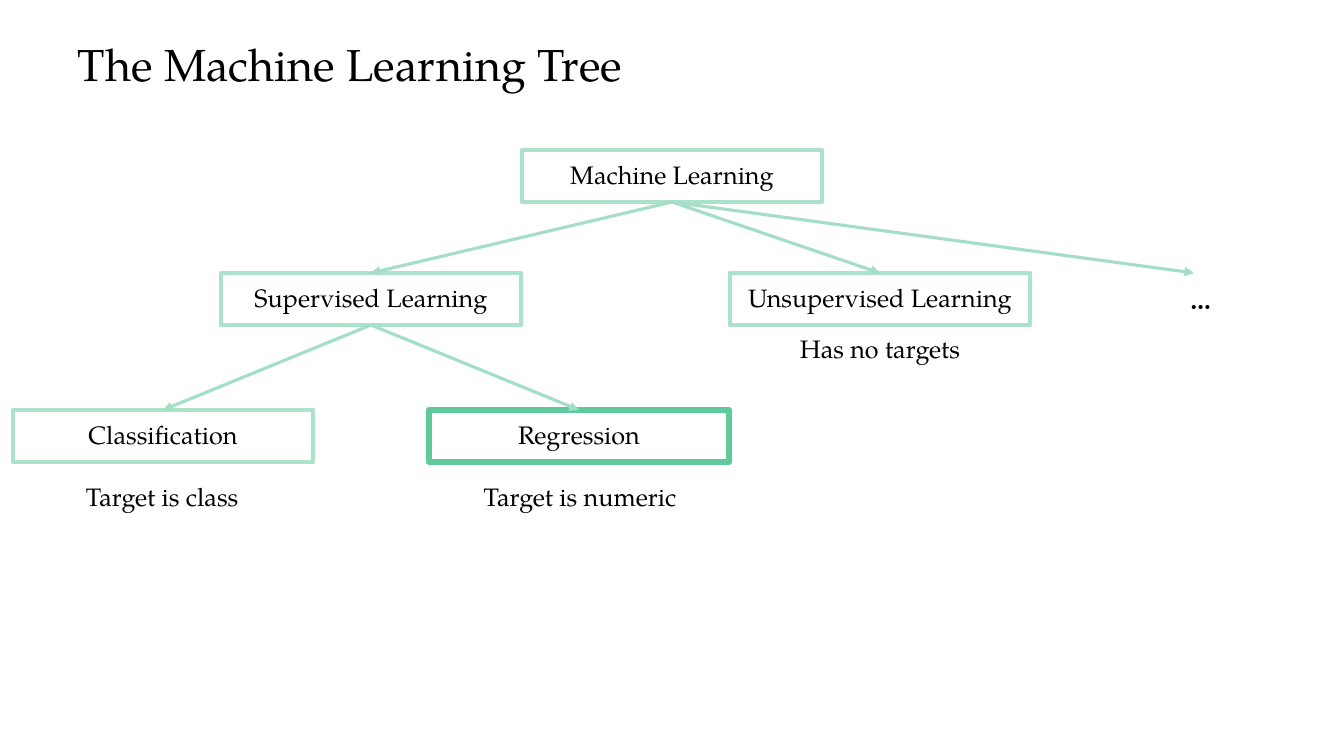
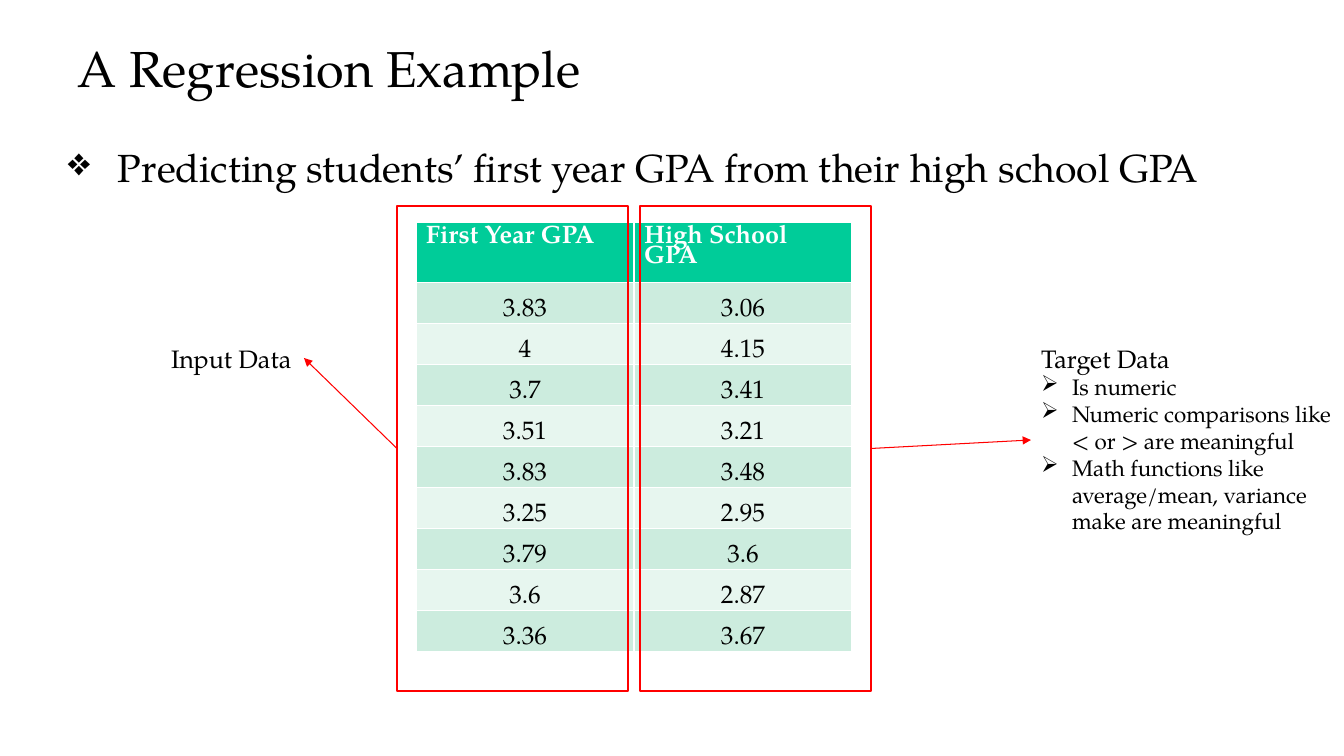
import pptx
import pptx.dml.color
import pptx.enum.shapes
import pptx.enum.text
import pptx.oxml.ns
import pptx.util
from lxml import etree

FONT = "TeX Gyre Pagella"
COLORS = {
    "text": "000000",
    "paper": "FFFFFF",
    "node": "AAE2CA",
    "focus": "60C99C",
    "branch": "A5DEC6",
    "mark": "FF0000",
    "header": "00CC99",
    "odd": "CCECDE",
    "even": "E7F6EF",
}
ALIGN = pptx.enum.text.PP_ALIGN
ANCHOR = pptx.enum.text.MSO_ANCHOR
PX_PER_INCH = 100.8
WIDTH, HEIGHT = 1344, 756

GPA_HEADERS = ("First Year GPA", "High School GPA")
GPA_ROWS = (
    ("3.83", "3.06"), ("4", "4.15"), ("3.7", "3.41"),
    ("3.51", "3.21"), ("3.83", "3.48"), ("3.25", "2.95"),
    ("3.79", "3.6"), ("3.6", "2.87"), ("3.36", "3.67"),
)


def px(n):
    return pptx.util.Emu(round(n * 914400 / PX_PER_INCH))


def rgb(name):
    return pptx.dml.color.RGBColor.from_string(COLORS[name])


def add_xml(parent, tag, **attrs):
    return etree.SubElement(parent, pptx.oxml.ns.qn(tag), attrs)


def style(p, size, color="text", bold=False, align=ALIGN.LEFT, spacing=None):
    p.font.name = FONT
    p.font.size = pptx.util.Pt(size)
    p.font.bold = bold
    p.font.color.rgb = rgb(color)
    p.alignment = align
    if spacing:
        p.line_spacing = spacing


def add_bullet(p, char, indent):
    pPr = p._p.get_or_add_pPr()
    pPr.set("marL", str(px(indent)))
    pPr.set("indent", str(-px(indent)))
    clr = add_xml(pPr, "a:buClr")
    add_xml(clr, "a:srgbClr", val=COLORS["text"])
    add_xml(pPr, "a:buChar", char=char)


def set_insets(target, left, top, right, bottom):
    target.margin_left, target.margin_top = px(left), px(top)
    target.margin_right, target.margin_bottom = px(right), px(bottom)


def add_text(slide, box, text, size=18, wrap=False, insets=(10, 5, 10, 5), **look):
    sp = slide.shapes.add_textbox(*map(px, box))
    tf = sp.text_frame
    tf.word_wrap = wrap
    set_insets(tf, *insets)
    p = tf.paragraphs[0]
    p.text = text
    style(p, size, **look)
    return sp


def add_rect(slide, box, line, width, fill=None):
    sp = slide.shapes.add_shape(
        pptx.enum.shapes.MSO_SHAPE.RECTANGLE, *map(px, box))
    sp.shadow.inherit = False
    if fill:
        sp.fill.solid()
        sp.fill.fore_color.rgb = rgb(fill)
    else:
        sp.fill.background()
    sp.line.color.rgb = rgb(line)
    sp.line.width = pptx.util.Pt(width)
    add_xml(sp.line._get_or_add_ln(), "a:round")
    return sp


def add_arrow(slide, start, side, color, width, end=None, end_side=0, point=(0, 0)):
    x, y = map(px, point)
    cx = slide.shapes.add_connector(
        pptx.enum.shapes.MSO_CONNECTOR.STRAIGHT, x, y, x, y)
    cx.begin_connect(start, side)
    if end is not None:
        cx.end_connect(end, end_side)
    cx.line.color.rgb = rgb(color)
    cx.line.width = pptx.util.Pt(width)
    add_xml(cx.line._get_or_add_ln(), "a:tailEnd", type="triangle")
    add_xml(cx._element.spPr, "a:effectLst")


def add_title(slide, text, size):
    add_text(slide, (68, 22, 1209, 101), text, size, wrap=True,
             insets=(10, 14, 10, 5), spacing=1.02)


def add_node(slide, x, y, text, line="node", width=3):
    sp = add_rect(slide, (x, y, 300, 52), line, width, "paper")
    tf = sp.text_frame
    tf.word_wrap = True
    tf.vertical_anchor = ANCHOR.MIDDLE
    p = tf.paragraphs[0]
    p.text = text
    style(p, 18, align=ALIGN.CENTER, spacing=0.93)
    return sp


def add_tree(slide, x, y):
    middle, bottom = y + 123, y + 260
    root = add_node(slide, x + 509, y, "Machine Learning")
    supervised = add_node(slide, x + 208, middle, "Supervised Learning")
    unsupervised = add_node(slide, x + 717, middle, "Unsupervised Learning")
    classes = add_node(slide, x, bottom, "Classification")
    regression = add_node(slide, x + 416, bottom, "Regression", "focus", 4.5)
    for parent, child in ((root, supervised), (root, unsupervised),
                          (supervised, regression), (supervised, classes)):
        add_arrow(slide, parent, 2, "branch", 2.25, child)
    add_arrow(slide, root, 2, "branch", 2.25, point=(x + 1181, middle))
    add_text(slide, (x + 1167, middle + 6, 45, 40), "…", bold=True)
    add_text(slide, (x + 63, bottom + 66, 175, 40), "Target is class")
    add_text(slide, (x + 459, bottom + 66, 216, 40), "Target is numeric",
             align=ALIGN.CENTER)
    add_text(slide, (x + 775, middle + 55, 184, 40), "Has no targets",
             align=ALIGN.CENTER)


def add_gpa_table(slide, x, y, col_width=218, header_height=59, row_height=41):
    rows = (GPA_HEADERS,) + GPA_ROWS
    height = header_height + row_height * len(GPA_ROWS)
    table = slide.shapes.add_table(
        len(rows), 2, px(x), px(y), px(2 * col_width), px(height)).table
    for col in table.columns:
        col.width = px(col_width)
    for i, values in enumerate(rows):
        table.rows[i].height = px(row_height if i else header_height)
        for j, value in enumerate(values):
            cell = table.cell(i, j)
            cell.fill.solid()
            p = cell.text_frame.paragraphs[0]
            p.text = value
            if i:
                cell.fill.fore_color.rgb = rgb("odd" if i % 2 else "even")
                cell.vertical_anchor = ANCHOR.BOTTOM
                set_insets(cell, 1, 1, 1, 0)
                style(p, 18, align=ALIGN.CENTER)
            else:
                cell.fill.fore_color.rgb = rgb("header")
                style(p, 18, "paper", bold=True, spacing=0.83)


def add_target_notes(slide, x, y):
    sp = add_text(slide, (x, y, 313, 204), "Target Data", wrap=True)
    for note in ("Is numeric",
                 "Numeric comparisons like < or > are meaningful",
                 "Math functions like average/mean, variance make are meaningful"):
        p = sp.text_frame.add_paragraph()
        p.text = note
        add_bullet(p, "➢", 31)
        style(p, 16)
    return sp


def add_example(slide, x, y):
    sp = add_text(slide, (x, y, 1209, 498),
                  "Predicting students’ first year GPA from their high school GPA",
                  28, wrap=True, insets=(0, 0, 0, 0))
    p = sp.text_frame.paragraphs[0]
    p.font.size = None
    pPr = p._p.get_or_add_pPr()
    pPr.remove(pPr.find(pptx.oxml.ns.qn("a:defRPr")))
    add_bullet(p, "❖", 50)
    style(p, 28)
    add_gpa_table(slide, x + 348, y + 79)
    source = add_text(slide, (x + 93, y + 195, 143, 40), "Input Data")
    target = add_target_notes(slide, x + 963, y + 195)
    for left, side, note, note_side in ((329, 1, source, 3), (572, 3, target, 1)):
        frame = add_rect(slide, (x + left, y + 63, 231, 485), "mark", 2)
        add_arrow(slide, frame, side, "mark", 0.75, note, note_side)


def main():
    prs = pptx.Presentation()
    prs.slide_width, prs.slide_height = px(WIDTH), px(HEIGHT)
    for title, size, add_content, x, y in (
            ("The Machine Learning Tree", 32, add_tree, 13, 150),
            ("A Regression Example", 36, add_example, 68, 143)):
        slide = prs.slides.add_slide(prs.slide_layouts[6])
        add_title(slide, title, size)
        add_content(slide, x, y)
    prs.save("out.pptx")


if __name__ == "__main__":
    main()
